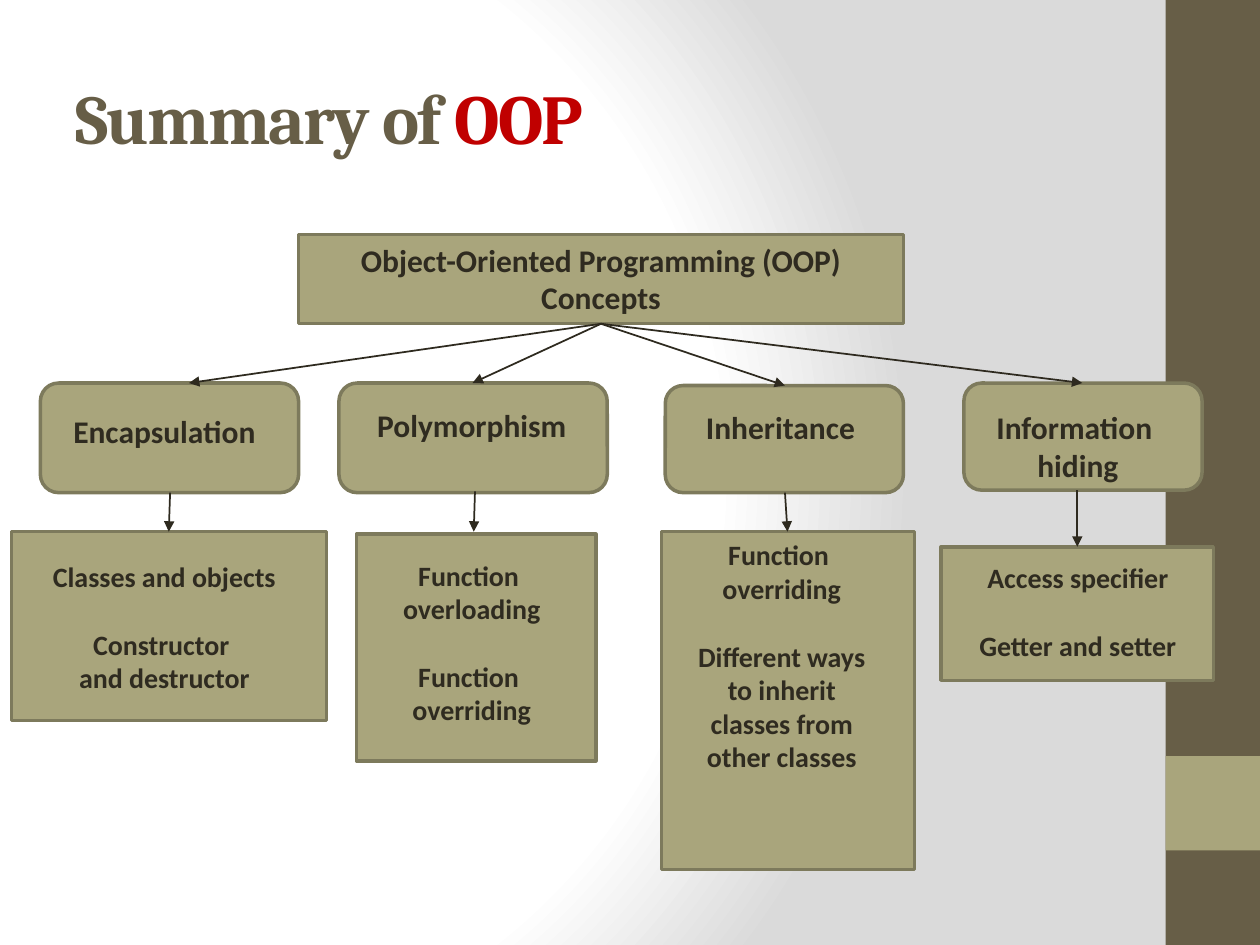
"""Build the slide that sums up the concepts of object-oriented programming."""
import pptx
import pptx.dml.color
import pptx.enum.shapes
import pptx.enum.text
import pptx.oxml
import pptx.oxml.ns
import pptx.util

MSO = pptx.enum.shapes.MSO_SHAPE
Pt = pptx.util.Pt
rgb = pptx.dml.color.RGBColor.from_string
qn = pptx.oxml.ns.qn

prs = pptx.Presentation()
prs.slide_width = pptx.util.Inches(10)
prs.slide_height = pptx.util.Inches(7.5)
col = prs.slide_width // 100
row = prs.slide_height // 75
s = prs.slides.add_slide(prs.slide_layouts[5])


def block(kind, x, y, w, h, fill="A9A57C", line="7D7A5C"):
    sp = s.shapes.add_shape(kind, int(x * col), int(y * row), int(w * col), int(h * row))
    sp.shadow.inherit = False
    sp.fill.solid()
    sp.fill.fore_color.rgb = rgb(fill)
    if line:
        sp.line.color.rgb = rgb(line)
        sp.line.width = Pt(2)
    else:
        sp.line.fill.background()


def label(lines, x, y, w, h, size):
    tf = s.shapes.add_textbox(int(x * col), int(y * row), int(w * col), int(h * row)).text_frame
    tf.word_wrap = True
    gap = 0
    p = tf.paragraphs[0]
    for text in lines:
        if text is None:
            gap = size * 1.22
            continue
        if p.runs:
            p = tf.add_paragraph()
        p.alignment = pptx.enum.text.PP_ALIGN.CENTER
        p.space_before = Pt(gap)
        gap = 0
        r = p.add_run()
        r.text = text
        r.font.name = "Calibri"
        r.font.size = Pt(size)
        r.font.bold = True
        r.font.color.rgb = rgb("2F2B20")


s.background.fill.solid()
bg = s.element.find(".//" + qn("p:bgPr"))
stops = "".join(
    f'<a:gs pos="{pos * 1000}"><a:srgbClr val="{color}"/></a:gs>'
    for pos, color in [(0, "FFFFFF"), (75, "FFFFFF"), (100, "DADADA")])
bg.replace(bg[0], pptx.oxml.parse_xml(
    f'<a:gradFill {pptx.oxml.ns.nsdecls("a")} rotWithShape="1"><a:gsLst>{stops}</a:gsLst>'
    '<a:path path="circle"><a:fillToRect l="20000" t="50000" r="100000" b="50000"/></a:path>'
    '</a:gradFill>'))

block(MSO.RECTANGLE, 92.5, 0, 7.5, 75, "675E47", None)
block(MSO.RECTANGLE, 92.5, 60, 7.5, 7.5, line=None)

title = s.shapes.title
title.left, title.top, title.width, title.height = 5 * col, 3 * row, int(83.3 * col), int(12.5 * row)
tf = title.text_frame
tf.vertical_anchor = pptx.enum.text.MSO_ANCHOR.MIDDLE
p = tf.paragraphs[0]
p.alignment = pptx.enum.text.PP_ALIGN.LEFT
for text, color in [("Summary of ", "675E47"), ("OOP", "C00000")]:
    r = p.add_run()
    r.text = text
    r.font.name = "Cambria"
    r.font.size = Pt(40)
    r.font.bold = True
    r.font.color.rgb = rgb(color)
    r.font._element.set("spc", "-100")

block(MSO.RECTANGLE, 23.7, 18.6, 48, 7.1)
label(["Object-Oriented Programming (OOP) Concepts"], 23.6, 18.6, 48.2, 7.1, 18)

concepts = [
    ((3.2, 30.4, 20.5, 8.7), ["Encapsulation"], (-3.1, 32.2, 32.3, 4),
     (0.9, 42.2, 25, 15), ["Classes and objects", None, "Constructor ", "and destructor"],
     (-3.1, 43.9, 32.3, 14.5)),
    ((26.9, 30.4, 21.3, 8.7), ["Polymorphism"], (21.3, 31.7, 32.3, 4),
     (28.3, 42.4, 19, 18), ["Function ", "overloading", None, "Function ", "overriding"],
     (21.3, 43.8, 32.3, 17.2)),
    ((52.8, 30.6, 18.9, 8.5), ["Inheritance"], (45.8, 31.9, 32.3, 4),
     (52.5, 42.2, 20.1, 26.8),
     ["Function ", "overriding", None, "Different ways to inherit classes from other classes"],
     (53.7, 42.2, 16.7, 25.6)),
    ((76.5, 30.4, 18.9, 8.5), ["Information ", "hiding"], (69.4, 31.9, 32.3, 7.1),
     (74.7, 43.4, 21.6, 10.6), ["Access specifier", None, "Getter and setter"],
     (69.4, 44, 32.3, 12.1)),
]
for head, name, name_at, body, details, details_at in concepts:
    block(MSO.ROUNDED_RECTANGLE, *head)
    label(name, *name_at, 18)
    block(MSO.RECTANGLE, *body)
    label(details, *details_at, 16)

arrows = [(47.7, 25.7, x, y) for x, y in [(15, 30.4), (37.5, 30.4), (62.3, 30.6), (85.9, 30.4)]]
arrows += [(13.5, 39.1, 13.4, 42.2), (37.7, 39, 37.6, 42.2),
           (62.3, 39.1, 62.5, 42.2), (85.5, 38.9, 85.5, 43.4)]
for x1, y1, x2, y2 in arrows:
    cx = s.shapes.add_connector(pptx.enum.shapes.MSO_CONNECTOR.STRAIGHT,
                                int(x1 * col), int(y1 * row), int(x2 * col), int(y2 * row))
    cx.line.color.rgb = rgb("2E2A1F")
    cx.line.width = Pt(1)
    cx.line._get_or_add_ln().append(pptx.oxml.parse_xml(
        f'<a:tailEnd {pptx.oxml.ns.nsdecls("a")} type="triangle"/>'))
    cx.element.spPr.append(pptx.oxml.parse_xml(f'<a:effectLst {pptx.oxml.ns.nsdecls("a")}/>'))

prs.save("out.pptx")
